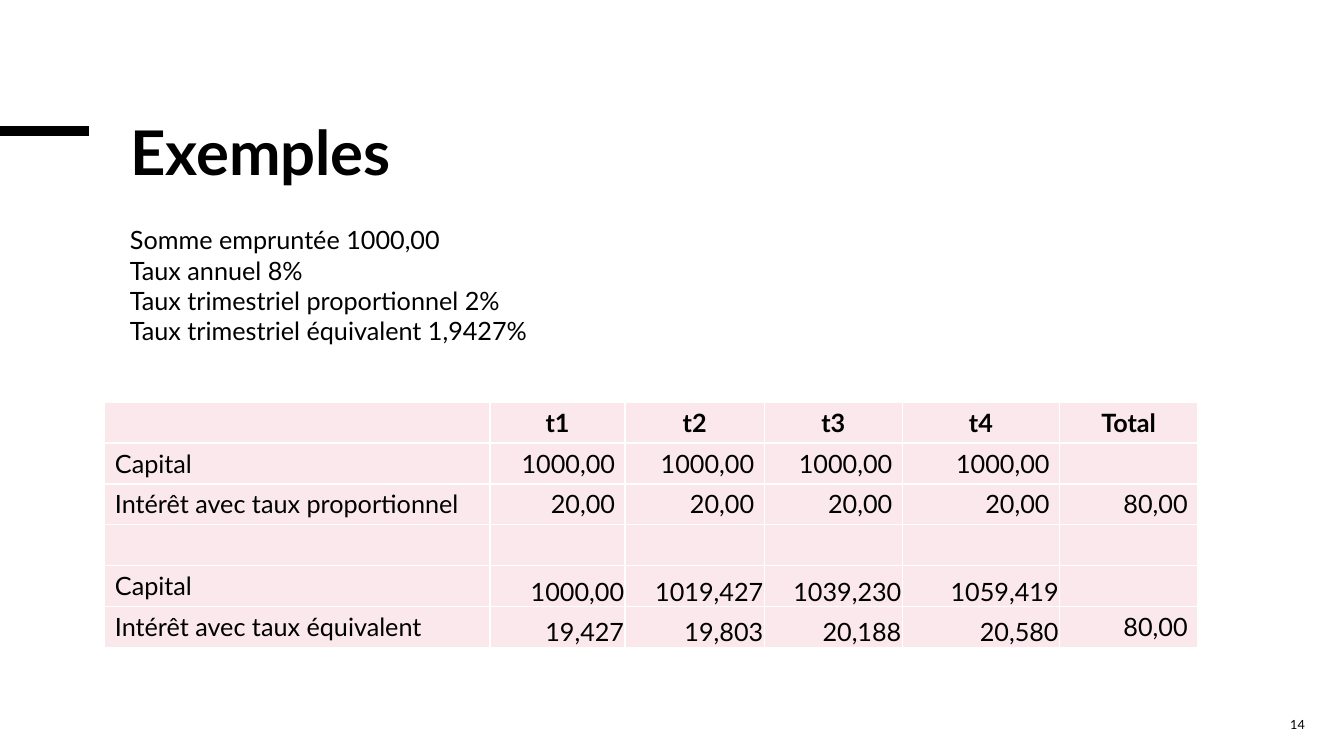
from lxml.etree import SubElement
from pptx import Presentation
from pptx.dml.color import RGBColor
from pptx.enum.shapes import MSO_CONNECTOR
from pptx.enum.text import MSO_ANCHOR, MSO_AUTO_SIZE, PP_ALIGN
from pptx.oxml.ns import qn
from pptx.util import Inches, Pt

BLACK = RGBColor(0x00, 0x00, 0x00)
WHITE = RGBColor(0xFF, 0xFF, 0xFF)
PINK = RGBColor(0xFA, 0xE8, 0xED)

COLUMN_WIDTHS = [3.82, 1.34, 1.38, 1.37, 1.56, 1.37]
TABLE_HEIGHT = 2.43
LOAN_FACTS = [
    "Somme empruntée 1000,00",
    "Taux annuel 8%",
    "Taux trimestriel proportionnel 2%",
    "Taux trimestriel équivalent 1,9427%",
]
INTEREST_ROWS = [
    ["", "t1", "t2", "t3", "t4", "Total"],
    ["Capital"] + ["1000,00"] * 4 + [""],
    ["Intérêt avec taux proportionnel"] + ["20,00"] * 4 + ["80,00"],
    [""] * 6,
    ["Capital", "1000,00", "1019,427", "1039,230", "1059,419", ""],
    ["Intérêt avec taux équivalent", "19,427", "19,803", "20,188", "20,580", "80,00"],
]

# Cell formats
HEADER = {"vertical_anchor": MSO_ANCHOR.MIDDLE}
PLAIN = {"vertical_anchor": MSO_ANCHOR.TOP}
TIGHT = {
    "vertical_anchor": MSO_ANCHOR.BOTTOM,
    "margin_left": Inches(0.01),
    "margin_right": Inches(0.01),
    "margin_top": Inches(0.01),
    "margin_bottom": 0,
}


def apply(target, values):
    for name, value in values.items():
        setattr(target, name, value)


class SlideBuilder:
    font_name = "Lato"

    def __init__(self, slide):
        self.slide = slide

    def fill_text(self, frame, lines, size, bold=False, **para_format):
        for index, line in enumerate(lines):
            para = frame.paragraphs[0] if index == 0 else frame.add_paragraph()
            apply(para, para_format)
            span = para.add_run()
            span.text = line
            apply(span.font, {"name": self.font_name, "size": Pt(size), "bold": bold})
            span.font.color.rgb = BLACK

    def title(self, text, left, top, width, height):
        box = self.slide.shapes.title
        apply(box, {"left": Inches(left), "top": Inches(top),
                    "width": Inches(width), "height": Inches(height)})
        apply(box.text_frame, {"vertical_anchor": MSO_ANCHOR.TOP, "word_wrap": True,
                               "auto_size": MSO_AUTO_SIZE.NONE})
        self.fill_text(box.text_frame, [text], 44, bold=True,
                       alignment=PP_ALIGN.LEFT, line_spacing=0.85)

    def text(self, lines, left, top, width, height, size,
             align=PP_ALIGN.LEFT, **frame_format):
        box = self.slide.shapes.add_textbox(
            Inches(left), Inches(top), Inches(width), Inches(height))
        apply(box.text_frame, {"word_wrap": True, **frame_format})
        self.fill_text(box.text_frame, lines, size, alignment=align)

    def line(self, left, top, right, bottom, weight):
        rule = self.slide.shapes.add_connector(
            MSO_CONNECTOR.STRAIGHT, Inches(left), Inches(top),
            Inches(right), Inches(bottom))
        rule.line.color.rgb = BLACK
        rule.line.width = Pt(weight)
        SubElement(rule.element.spPr, qn("a:effectLst"))

    def cell_borders(self, cell):
        properties = cell._tc.get_or_add_tcPr()
        for side in ("a:lnL", "a:lnR", "a:lnT", "a:lnB"):
            edge = SubElement(properties, qn(side), w=str(Pt(1)))
            fill = SubElement(edge, qn("a:solidFill"))
            SubElement(fill, qn("a:srgbClr"), val=str(WHITE))

    def table(self, rows, widths, left, top, height):
        table = self.slide.shapes.add_table(
            len(rows), len(widths), Inches(left), Inches(top),
            Inches(sum(widths)), Inches(height)).table
        apply(table, {"first_row": False, "horz_banding": False})
        for column, width in zip(table.columns, widths):
            column.width = Inches(width)
        for row_index, values in enumerate(rows):
            for column_index, value in enumerate(values):
                cell = table.cell(row_index, column_index)
                self.cell_borders(cell)
                cell.fill.solid()
                cell.fill.fore_color.rgb = PINK
                if not value:
                    continue
                header = row_index == 0
                if header:
                    cell_format, align = HEADER, PP_ALIGN.CENTER
                elif column_index == 0:
                    cell_format, align = PLAIN, PP_ALIGN.LEFT
                else:
                    tight = row_index >= 4 and column_index <= 4
                    cell_format, align = TIGHT if tight else PLAIN, PP_ALIGN.RIGHT
                apply(cell, cell_format)
                self.fill_text(cell.text_frame, [value], 18, bold=header, alignment=align)


def main():
    deck = Presentation()
    apply(deck, {"slide_width": Inches(13.33), "slide_height": Inches(7.5)})
    page = SlideBuilder(deck.slides.add_slide(deck.slide_layouts.get_by_name("Title Only")))

    # Heading
    page.line(0, 1.3, 0.88, 1.3, 6.75)
    page.title("Exemples", 1.19, 1.19, 10.85, 1.42)

    # Interest comparison
    page.table(INTEREST_ROWS, COLUMN_WIDTHS, 1.04, 3.99, TABLE_HEIGHT)

    # Loan facts
    page.text(LOAN_FACTS, 1.19, 2.18, 6.58, 1.31, 18,
              auto_size=MSO_AUTO_SIZE.SHAPE_TO_FIT_TEXT)

    # Page number
    page.text(["14"], 12.01, 6.99, 1.03, 0.4, 9, align=PP_ALIGN.RIGHT,
              vertical_anchor=MSO_ANCHOR.MIDDLE)

    deck.save("out.pptx")


if __name__ == "__main__":
    main()
